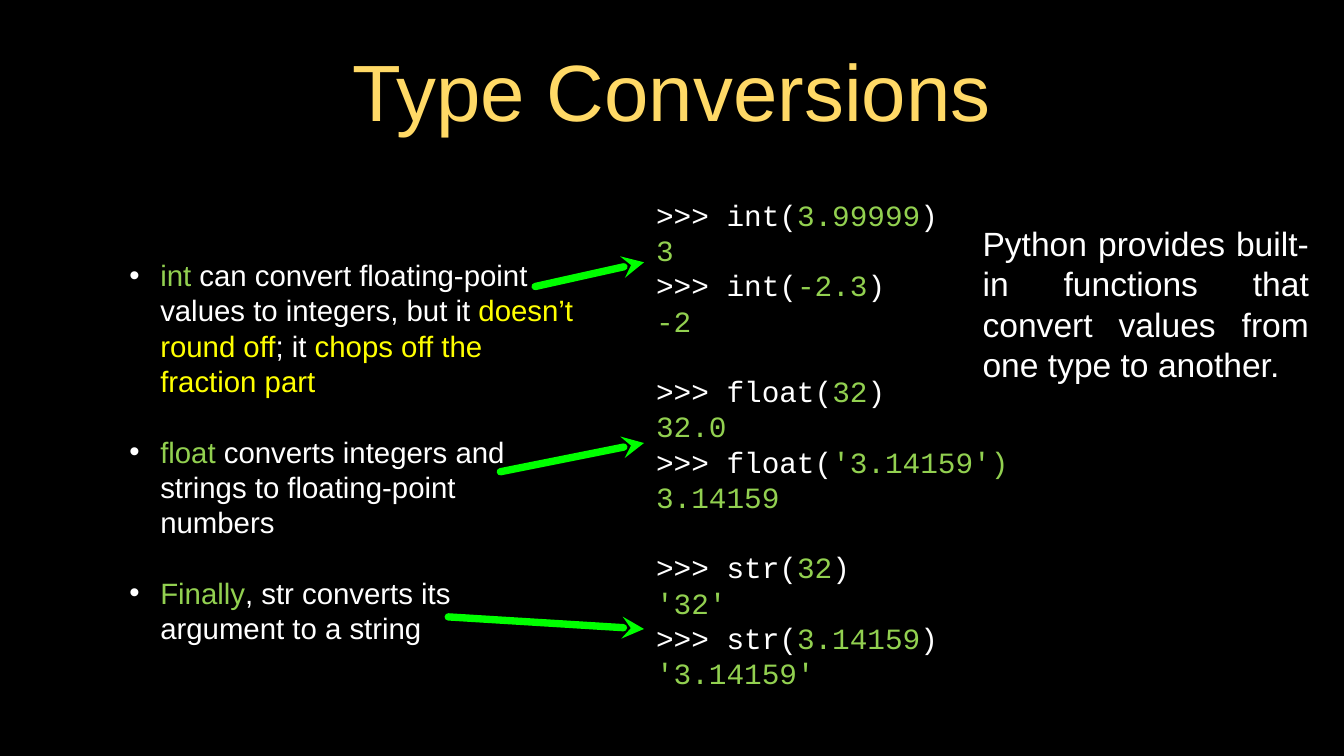
from lxml import etree
from pptx import Presentation
from pptx import util as u
from pptx.dml.color import RGBColor
from pptx.enum import shapes, text
from pptx.oxml import ns

WHITE, GREEN, YELLOW, GOLD, LIME = "FFFFFF", "92D050", "FFFF00", "FFD966", "00FF00"


def color(value):
    return RGBColor.from_string(value)


def add_text(box, paragraphs, size, font="Arial", align=text.PP_ALIGN.LEFT,
             anchor=text.MSO_ANCHOR.MIDDLE, margins=(0.04, 0.04), bullet=False, gap_every=0):
    shape = slide.shapes.add_textbox(*[u.Inches(value) for value in box])
    frame = shape.text_frame
    frame.word_wrap = True
    frame.vertical_anchor = anchor
    frame.margin_left = frame.margin_right = u.Inches(margins[0])
    frame.margin_top = frame.margin_bottom = u.Inches(margins[1])
    for index, runs in enumerate(paragraphs):
        paragraph = frame.add_paragraph() if index else frame.paragraphs[0]
        paragraph.alignment = align
        paragraph.line_spacing = u.Pt(size * 1.2)
        if gap_every and index and index % gap_every == 0:
            paragraph.space_before = u.Pt(size * 1.2)
        if bullet:
            properties = paragraph._p.get_or_add_pPr()
            properties.set("marL", str(u.Inches(0.82)))
            properties.set("indent", str(u.Inches(-0.41)))
            bullet_color = etree.SubElement(properties, ns.qn("a:buClr"))
            etree.SubElement(bullet_color, ns.qn("a:srgbClr"), val=WHITE)
            etree.SubElement(properties, ns.qn("a:buFont"), typeface="Arial")
            etree.SubElement(properties, ns.qn("a:buChar"), char="•")
        for words, ink in runs:
            run = paragraph.add_run()
            run.text = words
            run.font.size = u.Pt(size)
            run.font.name = font
            run.font.color.rgb = color(ink)


presentation = Presentation()
presentation.slide_width = u.Inches(17.78)
presentation.slide_height = u.Inches(10)
slide = presentation.slides.add_slide(presentation.slide_layouts[6])
slide.background.fill.solid()
slide.background.fill.fore_color.rgb = color("000000")

add_text((1.26, 0.24, 15.24, 1.9), [[("Type Conversions", GOLD)]], 76,
         align=text.PP_ALIGN.CENTER)

explanations = [
    [("int ", GREEN), ("can convert floating-point values to integers, but it ", WHITE),
     ("doesn’t round off", YELLOW), ("; it ", WHITE), ("chops off the fraction part", YELLOW)],
    [("float", GREEN), (" converts integers and strings to floating-point numbers", WHITE)],
    [("Finally", GREEN), (", str converts its argument to a string", WHITE)],
]
add_text((1.26, 2.85, 6.42, 6.24), explanations, 28, bullet=True, gap_every=1)

calls = [
    ("int(", "3.99999", ")", "3"),
    ("int(", "-2.3", ")", "-2"),
    ("float(", "32", ")", "32.0"),
    ("float(", "'3.14159')", "", "3.14159"),
    ("str(", "32", ")", "'32'"),
    ("str(", "3.14159", ")", "'3.14159'"),
]
console = []
for function, argument, closing, result in calls:
    prompt = [(">>> " + function, WHITE), (argument, GREEN)]
    if closing:
        prompt.append((closing, WHITE))
    console += [prompt, [(result, GREEN)]]
add_text((8.68, 2.26, 4.78, 7.22), console, 28, font="Courier New", margins=(0, 0), gap_every=4)

summary = "Python provides built-in functions that convert values from one type to another."
add_text((12.9, 2.9, 4.52, 2.26), [[(summary, WHITE)]], 32, align=text.PP_ALIGN.JUSTIFY,
         anchor=text.MSO_ANCHOR.TOP, margins=(0.1, 0.05))

for head_y, tail_x, tail_y in [(8.32, 5.93, 8.16), (5.86, 6.62, 6.24), (3.47, 7.08, 3.79)]:
    arrow = slide.shapes.add_connector(
        shapes.MSO_CONNECTOR.STRAIGHT, u.Inches(8.52), u.Inches(head_y),
        u.Inches(tail_x), u.Inches(tail_y))
    arrow.line.color.rgb = color(LIME)
    arrow.line.width = u.Pt(7)
    line = arrow.line._get_or_add_ln()
    line.set("cap", "rnd")
    etree.SubElement(line, ns.qn("a:round"))
    etree.SubElement(line, ns.qn("a:headEnd"), type="stealth")
    etree.SubElement(arrow._element.spPr, ns.qn("a:effectLst"))

presentation.save("out.pptx")
